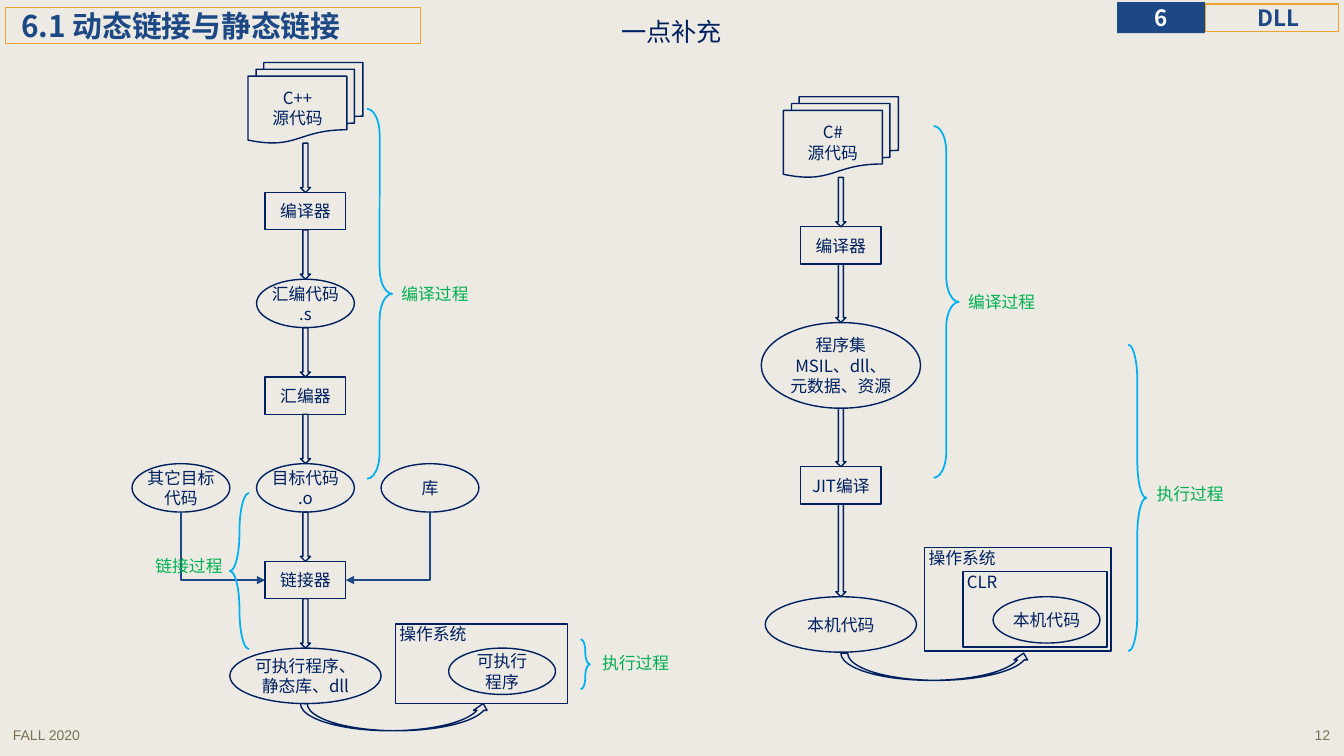
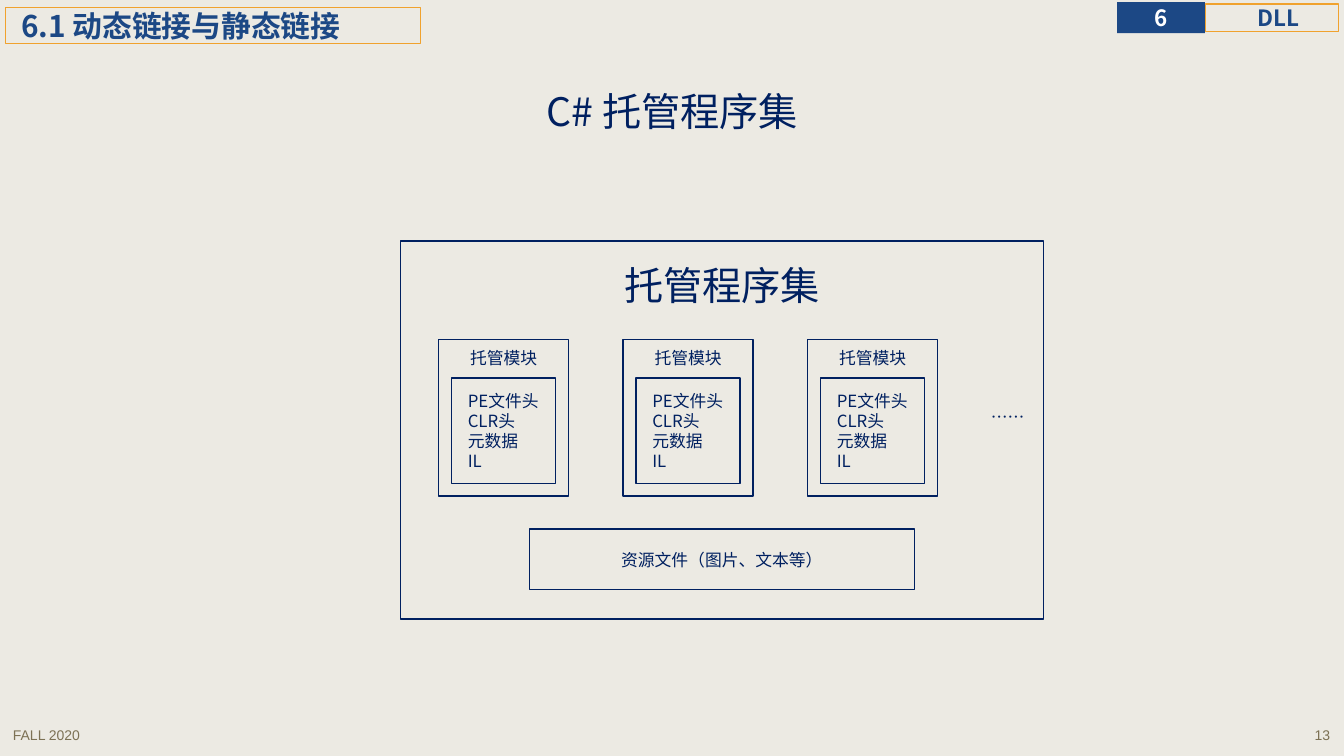
from dataclasses import dataclass

from lxml.etree import SubElement
from pptx import Presentation
from pptx.dml.color import RGBColor
from pptx.enum.shapes import MSO_CONNECTOR, MSO_SHAPE
from pptx.enum.text import MSO_ANCHOR, PP_ALIGN
from pptx.oxml.ns import qn
from pptx.util import Inches, Pt


@dataclass(frozen=True)
class Theme:
    background: str = "ECEAE3"
    navy: str = "002060"
    blue: str = "1C4885"
    orange: str = "F0A22E"
    sky: str = "00B0F0"
    green: str = "00B050"
    footer: str = "7C7154"
    white: str = "FFFFFF"
    body_font: str = "Noto Sans CJK SC"
    footer_font: str = "Arial"
    title_size: float = 28
    heading_size: float = 21.3
    subtitle_size: float = 18
    chapter_size: float = 16
    body_size: float = 12
    footer_size: float = 10
    thin: float = 0.75
    outline: float = 1
    accent_line: float = 1.25


THEME = Theme()
RECTANGLE, OVAL = MSO_SHAPE.RECTANGLE, MSO_SHAPE.OVAL
DOCUMENTS = MSO_SHAPE.FLOWCHART_MULTIDOCUMENT
LEFT, CENTER, RIGHT = PP_ALIGN.LEFT, PP_ALIGN.CENTER, PP_ALIGN.RIGHT
TOP, MIDDLE = MSO_ANCHOR.TOP, MSO_ANCHOR.MIDDLE

SECTION = "6.1 动态链接与静态链接"
CHAPTER = ("6", "DLL")
TERM = "FALL 2020"

NATIVE_CENTER, NATIVE_TOP = 3.03, 0.62
NATIVE_STAGES = [
    (DOCUMENTS, 1.14, 0.8, ["C++", "源代码"], 0.49),
    (RECTANGLE, 0.8, 0.37, ["编译器"], 0.49),
    (OVAL, 0.97, 0.48, ["汇编代码", ".s"], 0.49),
    (RECTANGLE, 0.8, 0.37, ["汇编器"], 0.49),
    (OVAL, 0.97, 0.48, ["目标代码", ".o"], 0.49),
    (RECTANGLE, 0.8, 0.37, ["链接器"], 0.49),
    (OVAL, 1.5, 0.55, ["可执行程序、静态库、dll"], 0),
]
MANAGED_CENTER, MANAGED_TOP = 8.34, 0.96
MANAGED_STAGES = [
    (DOCUMENTS, 1.14, 0.8, ["C#", "源代码"], 0.49),
    (RECTANGLE, 0.8, 0.37, ["编译器"], 0.58),
    (OVAL, 1.58, 0.85, ["程序集", "MSIL、dll、", "元数据、资源"], 0.58),
    (RECTANGLE, 0.8, 0.37, ["JIT编译"], 0.92),
    (OVAL, 1.5, 0.55, ["本机代码"], 0),
]
LINK_INPUTS = [("其它目标代码", -1), ("库", 1)]
INPUT_OFFSET = 1.235
RUNTIMES = [
    (RECTANGLE, (3.92, 6.19, 1.71, 0.79), ["操作系统"]),
    (OVAL, (4.45, 6.43, 1.06, 0.46), ["可执行", "程序"]),
    (RECTANGLE, (9.17, 5.43, 1.85, 1.03), ["操作系统"]),
    (RECTANGLE, (9.55, 5.67, 1.43, 0.75), ["CLR"]),
    (OVAL, (9.85, 5.92, 1.06, 0.46), ["本机代码"]),
]
LOAD_ARROWS = [(2.98, 6.98, 1.88, 0.27), (8.34, 6.48, 1.88, 0.27)]
PHASES = [
    ("编译过程", (3.64, 1.08, 0.25, 3.67), 1.02, True, (3.68, 2.77)),
    ("链接过程", (2.28, 4.89, 0.19, 1.55), 2, False, (1.24, 5.46)),
    ("执行过程", (5.76, 6.34, 0.09, 0.5), 2, True, (5.67, 6.43)),
    ("编译过程", (9.26, 1.25, 0.25, 3.49), 1.02, True, (9.3, 2.85)),
    ("执行过程", (11.19, 3.42, 0.18, 3.04), 2, True, (11.17, 4.75)),
]

MODULE_COUNT, MODULE_LEFT, MODULE_STEP = 3, 4.35, 1.83
MODULE_PARTS = ["PE文件头", "CLR头", "元数据", "IL"]


def color(value):
    return RGBColor.from_string(value)


def write(shape, lines, size=THEME.body_size, ink=THEME.navy, align=CENTER,
          anchor=MIDDLE, insets=(0, 0, 0, 0), bold=False, font=THEME.body_font):
    frame = shape.text_frame
    frame.word_wrap = True
    frame.vertical_anchor = anchor
    (frame.margin_left, frame.margin_top,
     frame.margin_right, frame.margin_bottom) = map(Inches, insets)
    frame.text = "\n".join(lines)
    for paragraph in frame.paragraphs:
        paragraph.alignment = align
        paragraph.font.size = Pt(size)
        paragraph.font.bold = bold
        paragraph.font.color.rgb = color(ink)
        paragraph.font.name = font
        properties = paragraph.font.fill._xPr
        SubElement(properties, qn("a:ea")).set("typeface", font)


def add_box(slide, kind, box, line=THEME.navy, width=THEME.outline, fill=None):
    shape = slide.shapes.add_shape(kind, *map(Inches, box))
    shape.shadow.inherit = False
    if fill:
        shape.fill.solid()
        shape.fill.fore_color.rgb = color(fill)
    else:
        shape.fill.background()
    if line:
        shape.line.color.rgb = color(line)
        shape.line.width = Pt(width)
    else:
        shape.line.fill.background()
    return shape


def add_label(slide, box, text, **style):
    label = slide.shapes.add_textbox(*map(Inches, box))
    write(label, [text], **{"anchor": TOP, "insets": (0.1, 0.05, 0.1, 0.05), **style})
    return label


def add_elbow(slide, tip, origin):
    connector = slide.shapes.add_connector(
        MSO_CONNECTOR.ELBOW, *map(Inches, (*tip, *origin)))
    connector.line.color.rgb = color(THEME.blue)
    connector.line.width = Pt(THEME.accent_line)
    properties = connector._element.spPr
    properties.find(qn("a:prstGeom")).set("prst", "bentConnector2")
    SubElement(properties.find(qn("a:ln")), qn("a:headEnd")).set("type", "triangle")
    SubElement(properties, qn("a:effectLst"))


def add_frame_slide(presentation, number):
    slide = presentation.slides.add_slide(presentation.slide_layouts[6])
    slide.background.fill.solid()
    slide.background.fill.fore_color.rgb = color(THEME.background)
    for left, text, align in [(0.03, TERM, LEFT), (10.51, str(number), RIGHT)]:
        add_label(slide, (left, 7.16, 2.78, 0.31), text, size=THEME.footer_size,
                  ink=THEME.footer, font=THEME.footer_font, align=align)
    chapter_number, chapter_name = CHAPTER
    name = add_box(slide, RECTANGLE, (11.96, 0.04, 1.32, 0.27), THEME.orange, THEME.thin)
    write(name, [chapter_name], THEME.chapter_size, THEME.blue,
          insets=(0.12, 0, 0, 0), bold=True)
    chip = add_box(slide, RECTANGLE, (11.08, 0.02, 0.87, 0.31), None, fill=THEME.blue)
    write(chip, [chapter_number], THEME.chapter_size, THEME.white, bold=True)
    section = add_box(slide, RECTANGLE, (0.05, 0.07, 4.12, 0.36), THEME.orange, THEME.thin)
    write(section, [SECTION], THEME.heading_size, THEME.blue, LEFT,
          insets=(0.16, 0, 0, 0), bold=True)
    return slide


def add_stages(slide, center, top, stages):
    tops = []
    for kind, width, height, lines, gap in stages:
        write(add_box(slide, kind, (center - width / 2, top, width, height)), lines)
        tops.append(top)
        top += height
        if gap:
            add_box(slide, MSO_SHAPE.DOWN_ARROW, (center - 0.05, top, 0.1, gap))
        top += gap
    return tops


def build_process_slide(presentation):
    slide = add_frame_slide(presentation, 12)
    add_label(slide, (5.74, 0.11, 1.84, 0.4), "一点补充", size=THEME.subtitle_size)

    tops = add_stages(slide, NATIVE_CENTER, NATIVE_TOP, NATIVE_STAGES)
    add_stages(slide, MANAGED_CENTER, MANAGED_TOP, MANAGED_STAGES)

    object_top, linker_top = tops[4], tops[5]
    _, input_width, input_height, _, _ = NATIVE_STAGES[4]
    _, linker_width, linker_height, _, _ = NATIVE_STAGES[5]
    for text, side in LINK_INPUTS:
        center = NATIVE_CENTER + side * INPUT_OFFSET
        oval = add_box(slide, OVAL, (center - input_width / 2, object_top,
                                     input_width, input_height))
        write(oval, [text])
        add_elbow(slide,
                  (NATIVE_CENTER + side * linker_width / 2, linker_top + linker_height / 2),
                  (center, object_top + input_height))

    for kind, box, lines in RUNTIMES:
        shape = add_box(slide, kind, box)
        if kind == RECTANGLE:
            write(shape, lines, align=LEFT, anchor=TOP, insets=(0.04, 0, 0, 0))
        else:
            write(shape, lines)
    for box in LOAD_ARROWS:
        add_box(slide, MSO_SHAPE.CURVED_UP_ARROW, box)

    for text, box, curl, opens_left, (left, top) in PHASES:
        kind = MSO_SHAPE.RIGHT_BRACE if opens_left else MSO_SHAPE.LEFT_BRACE
        brace = add_box(slide, kind, box, THEME.sky, THEME.accent_line)
        brace.adjustments[0] = curl
        brace.adjustments[1] = 0.5
        add_label(slide, (left, top, 1.27, 0.3), text, ink=THEME.green)


def build_assembly_slide(presentation):
    slide = add_frame_slide(presentation, 13)
    title = add_label(slide, (0.92, 0.4, 11.5, 1.45), "C# 托管程序集",
                      size=THEME.title_size, anchor=MIDDLE)
    title.text_frame.paragraphs[0].line_spacing = 0.9

    assembly = add_box(slide, RECTANGLE, (3.97, 2.39, 6.38, 3.75))
    write(assembly, ["托管程序集"], THEME.title_size, anchor=TOP, insets=(0, 0.2, 0, 0))
    for index in range(MODULE_COUNT):
        left = MODULE_LEFT + index * MODULE_STEP
        module = add_box(slide, RECTANGLE, (left, 3.37, 1.29, 1.55))
        write(module, ["托管模块"], anchor=TOP, insets=(0, 0.08, 0, 0))
        parts = add_box(slide, RECTANGLE, (left + 0.13, 3.75, 1.03, 1.05))
        write(parts, MODULE_PARTS, align=LEFT, insets=(0.16, 0, 0, 0))
    add_label(slide, (9.31, 3.99, 1.37, 0.3), "……")
    resources = add_box(slide, RECTANGLE, (5.25, 5.25, 3.82, 0.6))
    write(resources, ["资源文件（图片、文本等）"])


def main():
    presentation = Presentation()
    presentation.slide_width = Inches(13.33)
    presentation.slide_height = Inches(7.5)
    build_process_slide(presentation)
    build_assembly_slide(presentation)
    presentation.save("out.pptx")


if __name__ == "__main__":
    main()
